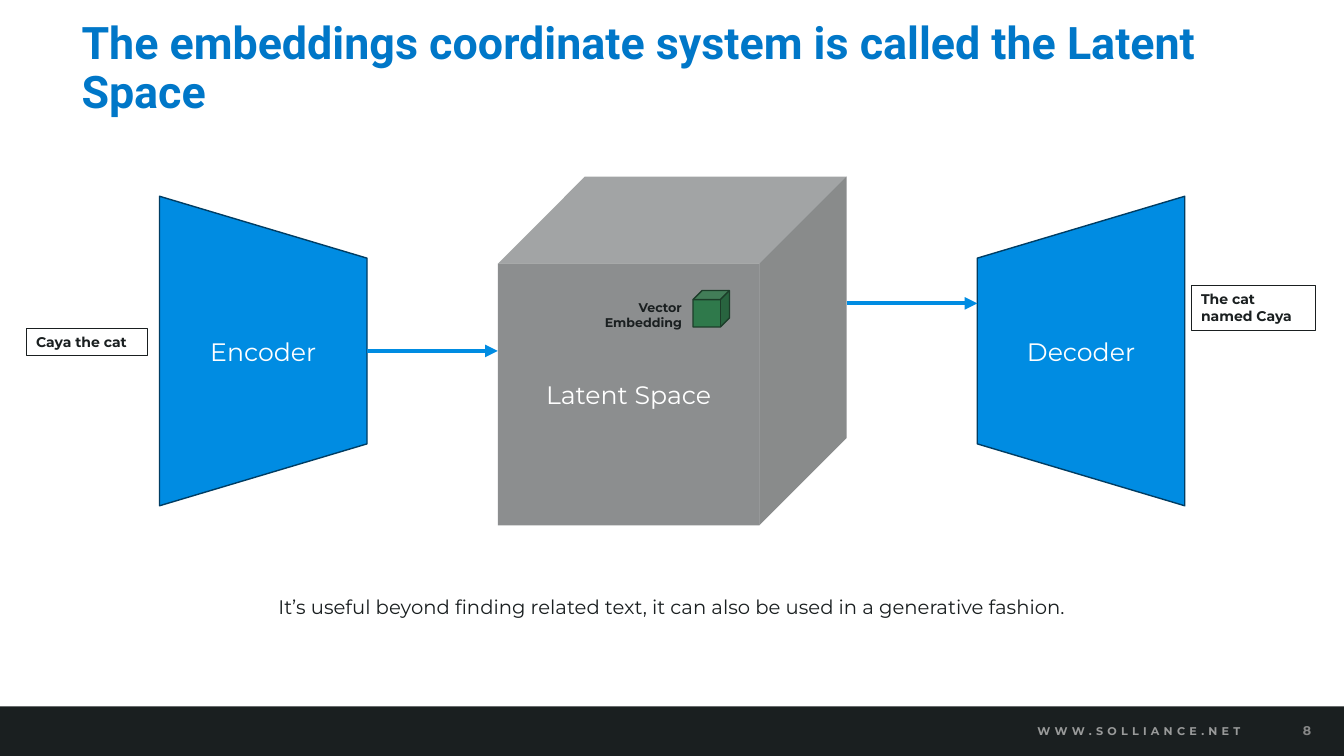
from lxml import etree
from pptx import Presentation
from pptx.dml.color import RGBColor
from pptx.enum.shapes import MSO_CONNECTOR, MSO_SHAPE
from pptx.enum.text import MSO_ANCHOR, MSO_AUTO_SIZE, PP_ALIGN
from pptx.oxml.ns import qn
from pptx.util import Cm, Pt

RECT, CUBE = MSO_SHAPE.RECTANGLE, MSO_SHAPE.CUBE
TRAPEZOID = MSO_SHAPE.FLOWCHART_MANUAL_OPERATION
STRAIGHT = MSO_CONNECTOR.STRAIGHT
LEFT, CENTER, RIGHT = PP_ALIGN.LEFT, PP_ALIGN.CENTER, PP_ALIGN.RIGHT
TOP, MIDDLE = MSO_ANCHOR.TOP, MSO_ANCHOR.MIDDLE
NO_AUTOFIT = MSO_AUTO_SIZE.NONE

COLORS = {
    "ink": "1A1F20", "white": "FFFFFF", "title": "0077C8", "blue": "008CE2",
    "navy": "003D63", "green": "46D577", "forest": "1F5D34",
    "silver": "999A9A", "gray": "878888",
}


def rgb(name):
    return RGBColor.from_string(COLORS[name])


def write(holder, text, size=18, color="ink", bold=False, font="Montserrat", align=LEFT,
          anchor=TOP, line_spacing=None, tracking=None):
    frame = holder.text_frame
    frame.word_wrap = True
    frame.auto_size = NO_AUTOFIT
    frame.vertical_anchor = anchor
    paragraph = frame.paragraphs[0]
    paragraph.alignment = align
    if line_spacing:
        paragraph.line_spacing = line_spacing
    run = paragraph.add_run()
    run.text = text
    run.font.name, run.font.size, run.font.bold = font, Pt(size), bold
    run.font.color.rgb = rgb(color)
    if tracking:
        run.font._element.set("spc", str(tracking * 100))


def add_label(slide, box, text, **formatting):
    label = slide.shapes.add_textbox(*map(Cm, box))
    write(label, text, **formatting)


def add_block(slide, kind, box, fill=None, line=None, width=1, alpha=None):
    block = slide.shapes.add_shape(kind, *map(Cm, box))
    block.shadow.inherit = False
    if fill:
        block.fill.solid()
        block.fill.fore_color.rgb = rgb(fill)
    else:
        block.fill.background()
    if alpha:
        color = block._element.spPr.find(qn("a:solidFill")).find(qn("a:srgbClr"))
        etree.SubElement(color, qn("a:alpha")).set("val", str(alpha * 1000))
    if line:
        block.line.color.rgb = rgb(line)
        block.line.width = Pt(width)
    else:
        block.line.fill.background()
    return block


def add_arrow(slide, start, end, y):
    arrow = slide.shapes.add_connector(STRAIGHT, Cm(start), Cm(y), Cm(end), Cm(y))
    arrow.line.color.rgb = rgb("blue")
    arrow.line.width = Pt(3)
    etree.SubElement(arrow.line._get_or_add_ln(), qn("a:tailEnd")).set("type", "triangle")
    etree.SubElement(arrow._element.spPr, qn("a:effectLst"))


def add_title(slide, box):
    title = slide.shapes.title
    title.left, title.top, title.width, title.height = map(Cm, box)
    write(title, "The embeddings coordinate system is called the Latent Space", size=32,
          color="title", bold=True, font="Roboto", anchor=MIDDLE, line_spacing=0.9)


def add_footer(slide, box):
    left, top, width, height = box
    add_block(slide, RECT, box, fill="ink")
    text_top, text_height = top + 0.16, 0.91
    add_label(slide, (left + width - 13.78, text_top, 11.43, text_height), "WWW.SOLLIANCE.NET",
              size=8, color="silver", bold=True, align=RIGHT, anchor=MIDDLE, tracking=3)
    add_label(slide, (left + width - 1.54, text_top, 1.22, text_height), "8",
              size=9, color="gray", bold=True, align=CENTER, anchor=MIDDLE)


def add_coder(slide, box, name, rotation, text_direction, flipped=False):
    left, top, width, height = box
    shift = (height - width) / 2
    coder = add_block(slide, TRAPEZOID, (left - shift, top + shift, height, width),
                      fill="blue", line="navy")
    coder.rotation = rotation
    if flipped:
        coder._element.spPr.find(qn("a:xfrm")).set("flipH", "1")
    write(coder, name, color="white", align=CENTER, anchor=MIDDLE)
    coder.text_frame._txBody.bodyPr.set("vert", text_direction)


def add_latent_space(slide, box):
    left, top, side, _ = box
    add_block(slide, CUBE, (left + 4.92, top + 2.87, 0.92, 0.92), fill="green", line="forest")
    space = add_block(slide, CUBE, box, fill="ink", alpha=50)
    write(space, "Latent Space", color="white", align=CENTER, anchor=MIDDLE)
    add_label(slide, (left + 2.35, top + 2.97, 2.54, 1.02), "Vector Embedding",
              size=9, bold=True, align=RIGHT)


def add_tag(slide, box, text):
    tag = add_block(slide, RECT, box, line="ink", width=0.75)
    write(tag, text, size=10, bold=True)


def add_diagram(slide, box):
    left, top, width, height = box
    coder_width, coder_height, cube_side = 5.23, 7.8, 8.79
    coder_top = top + (height - coder_height) / 2
    decoder_left = left + width - coder_width
    cube_left = left + (width - cube_side) / 2
    middle = top + height / 2
    add_coder(slide, (left, coder_top, coder_width, coder_height), "Encoder", 270, "vert")
    add_coder(slide, (decoder_left, coder_top, coder_width, coder_height), "Decoder", 90,
              "vert270", flipped=True)
    add_latent_space(slide, (cube_left, top, cube_side, cube_side))
    add_arrow(slide, left + coder_width, cube_left, middle)
    add_arrow(slide, cube_left + cube_side, decoder_left, middle - 1.2)
    add_tag(slide, (left - 3.36, middle - 0.57, 3.05, 0.69), "Caya the cat")
    add_tag(slide, (left + width + 0.16, middle - 1.65, 3.14, 1.14), "The cat named Caya")


def main():
    presentation = Presentation()
    presentation.slide_width, presentation.slide_height = Cm(33.87), Cm(19.05)
    slide = presentation.slides.add_slide(presentation.slide_layouts[5])
    add_footer(slide, (0, 17.8, 33.87, 1.25))
    add_title(slide, (1.8, 0.97, 30.38, 1.57))
    add_diagram(slide, (4.02, 4.45, 25.84, 8.79))
    add_label(slide, (1.75, 14.75, 30.38, 1.55),
              "It’s useful beyond finding related text, it can also be used in a generative fashion.",
              size=14, align=CENTER, line_spacing=1.2)
    presentation.save("out.pptx")


if __name__ == "__main__":
    main()
